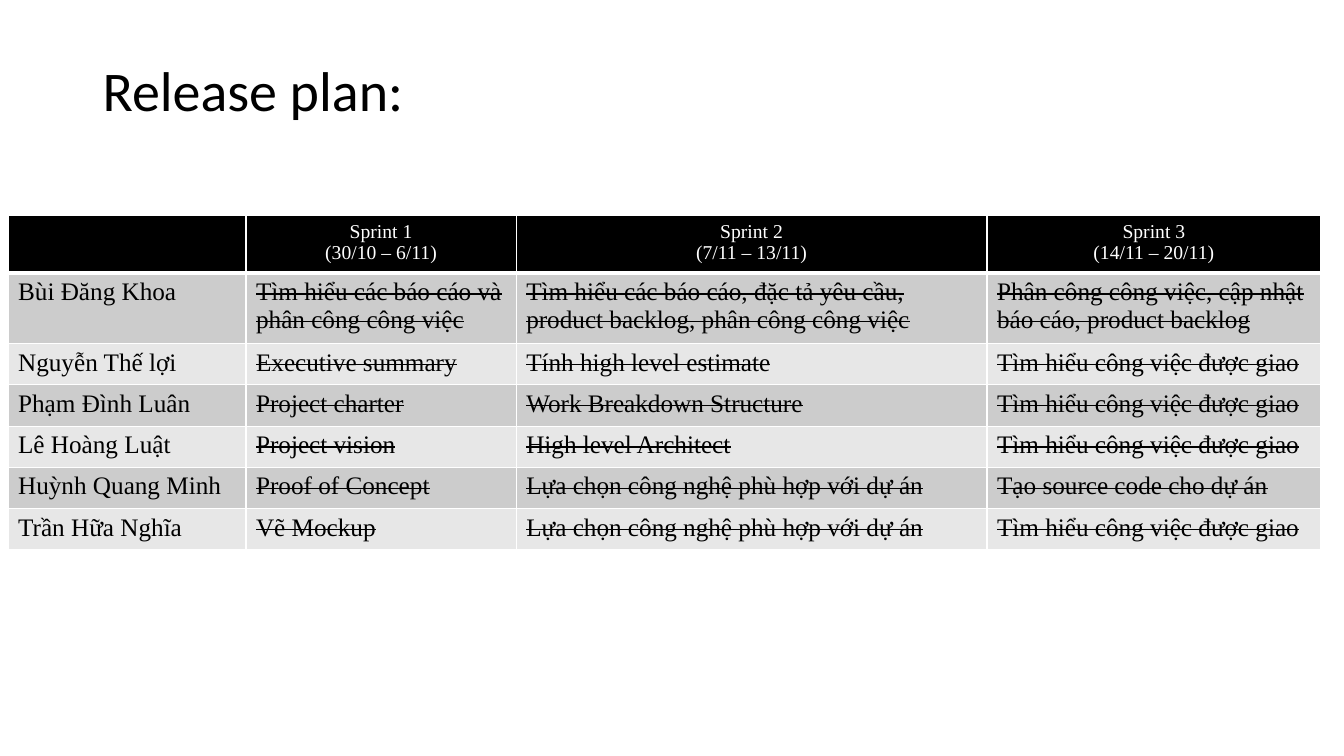
"""Build the release plan slide: a title above a sprint table."""
from lxml.etree import fromstring
from pptx import Presentation
from pptx.dml.color import RGBColor
from pptx.enum.text import MSO_ANCHOR, PP_ALIGN
from pptx.oxml.ns import nsdecls
from pptx.util import Inches, Pt

BLACK = RGBColor(0x00, 0x00, 0x00)
WHITE = RGBColor(0xFF, 0xFF, 0xFF)
DARK = RGBColor(0xCC, 0xCC, 0xCC)
LIGHT = RGBColor(0xE7, 0xE7, 0xE7)
SERIF = "Times New Roman"
WIDTHS = [2.36, 2.68, 4.67, 3.31]
HEIGHT = 0.41
LEARN = "Tìm hiểu công việc được giao"
CHOOSE = "Lựa chọn công nghệ phù hợp với dự án"
ROWS = [
    ["", "Sprint 1\n(30/10 – 6/11)", "Sprint 2\n(7/11 – 13/11)", "Sprint 3\n(14/11 – 20/11)"],
    ["Bùi Đăng Khoa", "Tìm hiểu các báo cáo và phân công công việc",
     "Tìm hiểu các báo cáo, đặc tả yêu cầu, product backlog, phân công công việc",
     "Phân công công việc, cập nhật báo cáo, product backlog"],
    ["Nguyễn Thế lợi", "Executive summary", "Tính high level estimate", LEARN],
    ["Phạm Đình Luân", "Project charter", "Work Breakdown Structure", LEARN],
    ["Lê Hoàng Luật", "Project vision", "High level Architect", LEARN],
    ["Huỳnh Quang Minh", "Proof of Concept", CHOOSE, "Tạo source code cho dự án"],
    ["Trần Hữa Nghĩa", "Vẽ Mockup", CHOOSE, LEARN],
]


def style(font, color, **form):
    """Apply a colour and format values to a font."""
    font.color.rgb = color
    for key, value in form.items():
        setattr(font, key, value)


def edge(cell, bottom):
    """Draw white borders round a cell."""
    props = cell._tc.get_or_add_tcPr()
    for spot, side in enumerate("LRTB"):
        width = Pt(bottom if side == "B" else 1)
        props.insert(spot, fromstring(
            f'<a:ln{side} {nsdecls("a")} w="{width}"><a:solidFill>'
            f'<a:srgbClr val="{WHITE}"/></a:solidFill></a:ln{side}>'))


deck = Presentation()
deck.slide_width, deck.slide_height = Inches(13.33), Inches(7.5)
slide = deck.slides.add_slide(deck.slide_layouts[6])

title = slide.shapes.add_textbox(Inches(0.92), Inches(0.33), Inches(3.48), Inches(1.83))
frame = title.text_frame
for key, value in {"word_wrap": True, "margin_top": Inches(0.3),
                   "vertical_anchor": MSO_ANCHOR.TOP}.items():
    setattr(frame, key, value)
frame.text = "Release plan:"
head = frame.paragraphs[0]
head.line_spacing = 0.9
style(head.runs[0].font, BLACK, name="Calibri", size=Pt(40))

table = slide.shapes.add_table(
    len(ROWS), len(WIDTHS), Inches(0.08), Inches(2.14),
    Inches(sum(WIDTHS)), Inches(HEIGHT * len(ROWS))).table
for column, width in zip(table.columns, WIDTHS):
    column.width = Inches(width)

for r, row in enumerate(ROWS):
    table.rows[r].height = Inches(HEIGHT)
    top = r == 0
    for c, text in enumerate(row):
        cell = table.cell(r, c)
        cell.fill.solid()
        cell.fill.fore_color.rgb = BLACK if top else DARK if r % 2 else LIGHT
        edge(cell, 3 if top else 1)
        cell.text = text
        for para in cell.text_frame.paragraphs:
            para.alignment = PP_ALIGN.CENTER if top else PP_ALIGN.LEFT
            for run in para.runs:
                style(run.font, WHITE if top else BLACK, name=SERIF,
                      size=Pt(14 if top else 18), bold=False)
                if c and not top:
                    run._r.get_or_add_rPr().set("strike", "sngStrike")

deck.save("out.pptx")
